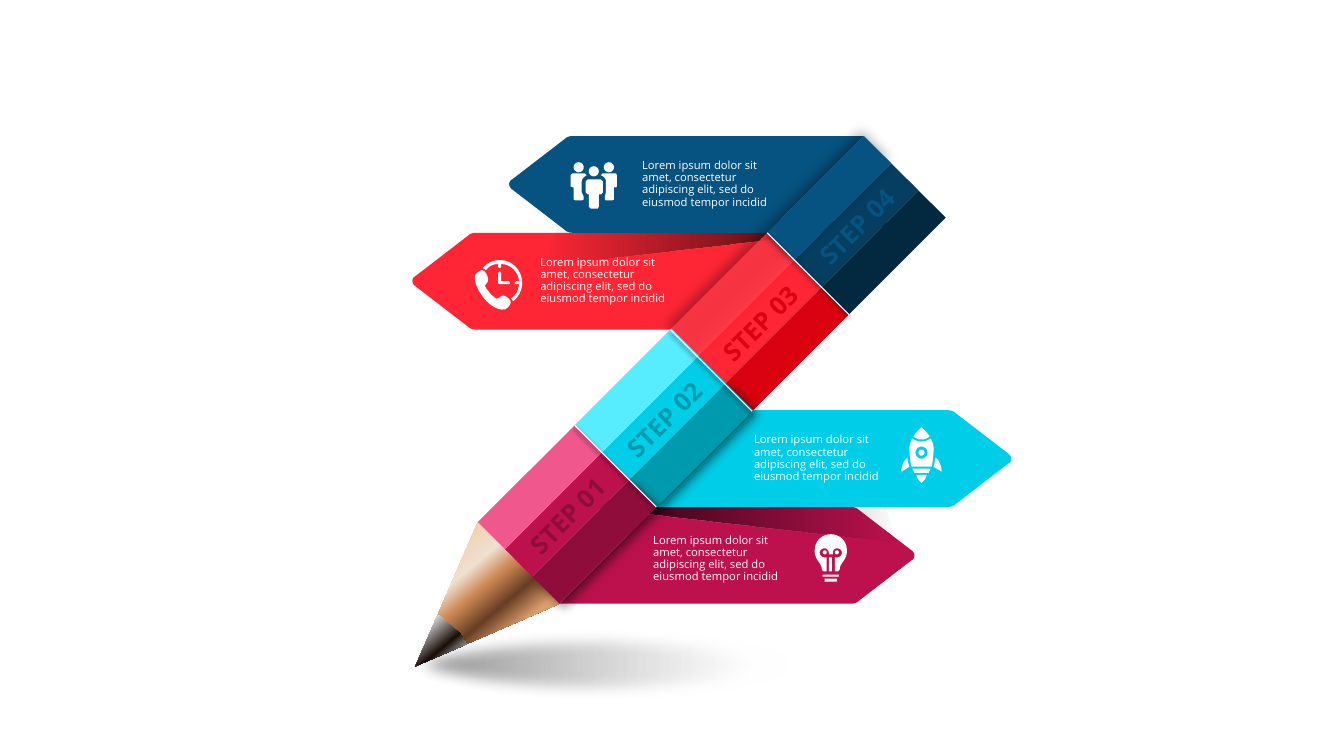
from dataclasses import dataclass
from math import cos, sin, tau
from typing import NamedTuple, Optional

from lxml.etree import SubElement
from pptx import Presentation
from pptx.dml.color import RGBColor
from pptx.enum.shapes import MSO_CONNECTOR as CONNECTOR, MSO_SHAPE as SHAPE
from pptx.enum.text import MSO_AUTO_SIZE as AUTO_SIZE
from pptx.oxml.ns import qn
from pptx.util import Pt

PX = 9144  # one hundredth of an inch
BAND, RUN = 27, 96
WIDTH = 3 * BAND
FONT = "Open Sans"
BODY = "Lorem ipsum dolor sit amet, consectetur adipiscing elit, sed do eiusmod tempor incidid"

rgb = RGBColor.from_string
WHITE, BLACK, NEAR_BLACK = rgb("FFFFFF"), rgb("000000"), rgb("080808")
PINK, CRIMSON, WINE = rgb("F0588D"), rgb("BD114D"), rgb("8E0D3A")
AQUA, CYAN, TEAL = rgb("58ECFF"), rgb("00CEE8"), rgb("009AAE")
RED, DARK_RED = rgb("FE2635"), rgb("DA0110")
BLUE, NAVY, MIDNIGHT = rgb("065381"), rgb("053E61"), rgb("032940")


class Stop(NamedTuple):
    position: int
    color: RGBColor
    alpha: int = 100


class Shadow(NamedTuple):
    alpha: int
    blur: int
    distance: int
    angle: int


@dataclass(frozen=True)
class Step:
    label: str
    corner: tuple[int, int]
    bands: tuple[RGBColor, RGBColor, RGBColor]
    label_color: RGBColor
    upper: bool
    text_at: tuple[int, int]
    icon: tuple[str, ...]
    light_alpha: int = 100


WOOD = [Stop(0, rgb("EEBF85")), Stop(35, rgb("EFE0CF")), Stop(46, rgb("CD8954")),
        Stop(59, rgb("693E25")), Stop(72, rgb("DC9D6C")), Stop(100, rgb("EDD5B7"))]
LEAD = [Stop(16, rgb("EAEAEA")), Stop(59, rgb("190F09")), Stop(89, rgb("DDDDDD"))]
FADE = [Stop(0, BLACK), Stop(100, NEAR_BLACK, 0)]
GROUND = [Stop(0, BLACK, 47), Stop(87, WHITE, 34)]
UPPER_SHADOW, LOWER_SHADOW = Shadow(32, 9, 4, 235), Shadow(50, 8, 4, 40)
SEAM_SHADOW = Shadow(100, 4, 2, 90)

BANNER = ("M 0,0 L -289,0 C -292,0 -295,1 -297,3 L -349,43 C -353,45 -353,50 -349,53 "
          "L -297,93 C -295,95 -292,96 -289,96 L -96,96 Z")
WOOD_CONE = "M 412,661 L 474,518 555,599 Z"
LEAD_TIP = "M 456,628 L 450,623 444,618 C 441,615 438,612 434,610 L 412,661 463,639 C 461,635 458,632 456,628 Z"
UPPER_FOLD = "M 556,214 L 539,263 914,221 Z"
LOWER_FOLD = "M 875,497 L 891,538 522,497 Z"

ROCKET = (
    "M 906,433 C 909,428 914,424 914,424 C 914,424 919,428 922,433 C 917,437 911,437 906,433 Z",
    "M 905,465 L 923,465 921,469 907,469 Z",
    "M 909,471 L 919,471 C 919,475 914,479 914,479 C 914,479 909,475 909,471 Z",
    "M 926,445 C 926,450 925,460 924,463 L 904,463 C 903,460 902,450 902,445 "
    "C 902,442 903,438 905,435 C 910,439 918,439 923,435 C 925,438 926,442 926,445 Z",
    "O 914,449 6,6 O 914,449 3,3",
    "M 900,454 C 897,456 894,462 894,468 L 902,463 C 901,460 900,457 900,454 Z",
    "M 928,454 C 931,456 934,462 934,468 L 926,463 C 927,460 927,457 928,454 Z")
PEOPLE = (
    "O 589,170 5,5 O 604,166 5,5 O 574,166 5,5",
    "M 583,178 L 596,178 598,180 598,191 596,193 594,193 594,205 593,207 586,207 584,205 "
    "584,193 583,193 581,191 581,180 Z",
    "M 598,172 L 611,172 612,174 612,185 611,186 609,186 609,198 607,199 601,199 600,198 "
    "600,195 601,191 601,180 C 601,177 599,175 596,174 Z",
    "M 580,172 L 568,172 566,174 566,185 568,186 569,186 569,198 571,199 577,199 579,198 "
    "579,195 577,191 577,180 C 577,177 580,175 582,174 Z")
PHONE_CLOCK = (
    "M 471,274 C 471,272 475,269 478,268 C 481,268 485,275 484,278 C 484,281 481,282 481,284 "
    "C 486,292 489,294 492,296 C 494,297 495,295 497,294 C 500,292 504,295 506,298 "
    "C 507,300 507,303 501,307 C 491,309 481,297 481,297 C 471,285 471,277 471,274 Z",
    "M 505,279 L 497,279 497,271 496,269 494,271 494,281 496,282 505,282 506,281 Z",
    "M 496,258 C 489,258 483,261 479,266 L 482,268 C 485,264 489,262 494,262 L 494,265 496,266 497,265 497,262 "
    "C 507,262 514,270 515,279 L 512,279 510,281 512,282 515,282 C 514,288 512,293 507,296 "
    "L 509,299 C 514,295 518,288 518,281 C 518,268 508,258 496,258 Z")
BULB = (
    "M 822,553 L 825,553 825,567 822,567 Z",
    "M 824,530 C 815,530 808,537 808,546 C 808,550 809,553 811,556 C 814,560 815,562 815,564 "
    "C 815,565 816,567 818,567 L 820,567 820,553 818,553 C 815,553 813,551 813,548 "
    "C 813,546 815,544 818,544 C 820,544 822,546 822,548 L 822,550 826,550 826,548 "
    "C 826,546 828,544 830,544 C 833,544 835,546 835,548 C 835,551 833,553 830,553 "
    "L 828,553 828,567 830,567 C 832,567 833,565 833,564 C 833,562 834,560 837,556 "
    "C 839,553 840,550 840,546 C 840,537 833,530 824,530 Z",
    "O 818,548 2,2 O 830,548 2,2",
    "M 816,570 L 832,570 832,572 816,572 Z M 818,574 L 830,574 830,577 818,577 Z")

STEPS = [
    Step("STEP 01", (474, 518), (PINK, CRIMSON, WINE), WINE, False, (638, 526), BULB),
    Step("STEP 02", (570, 422), (AQUA, CYAN, TEAL), TEAL, False, (738, 426), ROCKET),
    Step("STEP 03", (665, 327), (RED, RED, DARK_RED), DARK_RED, True, (526, 250), PHONE_CLOCK, 90),
    Step("STEP 04", (761, 231), (BLUE, NAVY, MIDNIGHT), BLUE, True, (627, 154), PEOPLE)]


def contours(path: str) -> list[list[tuple[float, float]]]:
    """Turn path text (M, L, C, Z, and O for an oval) into point lists, with curves sampled."""
    result, pending, command = [], [], ""
    for token in path.split():
        if token.isalpha():
            command = token
            if command in "MO":
                result.append([])
            continue
        pending.append(tuple(int(number) for number in token.split(",")))
        if len(pending) < {"C": 3, "O": 2}.get(command, 1):
            continue
        if command == "C":
            knots = [result[-1][-1], *pending]
            for t in (index / 8 for index in range(1, 9)):
                weights = ((1 - t) ** 3, 3 * t * (1 - t) ** 2, 3 * t * t * (1 - t), t ** 3)
                result[-1].append(tuple(sum(w * k[axis] for w, k in zip(weights, knots)) for axis in (0, 1)))
        elif command == "O":
            (x, y), (rx, ry) = pending
            result[-1] = [(x + rx * cos(tau * i / 24), y + ry * sin(tau * i / 24)) for i in range(24)]
        else:
            result[-1].append(pending[0])
        pending = []
    return result


def set_alpha(color_node, alpha: int) -> None:
    SubElement(color_node, qn("a:alpha"), val=str(alpha * 1000))


def set_shadow(shape, shadow: Optional[Shadow]):
    effects = SubElement(shape.element.spPr, qn("a:effectLst"))
    if shadow:
        node = SubElement(effects, qn("a:outerShdw"), blurRad=str(Pt(shadow.blur)),
                          dist=str(Pt(shadow.distance)), dir=str(shadow.angle * 60000))
        set_alpha(SubElement(node, qn("a:srgbClr"), val=str(BLACK)), shadow.alpha)
    return effects


def set_gradient(shape, stops: list[Stop], angle: int):
    shape.fill.gradient()
    stop_list = shape.element.spPr.find(".//" + qn("a:gsLst"))
    stop_list.clear()
    for stop in stops:
        node = SubElement(stop_list, qn("a:gs"), pos=str(stop.position * 1000))
        set_alpha(SubElement(node, qn("a:srgbClr"), val=str(stop.color)), stop.alpha)
    shape.element.spPr.find(".//" + qn("a:lin")).set("ang", str(angle * 60000))
    return shape


def add_outline(slide, path: str, color: RGBColor = WHITE, origin=(0, 0), sign: int = 1, shadow=None):
    outlines = [[((origin[0] + sign * x) * PX, (origin[1] + sign * y) * PX) for x, y in points]
                for points in contours(path)]
    builder = slide.shapes.build_freeform(*outlines[0][0], scale=1.0)
    for index, points in enumerate(outlines):
        if index:
            builder.move_to(*points[0])
        builder.add_line_segments(points[1:], close=True)
    shape = builder.convert_to_shape()
    shape.fill.solid()
    shape.fill.fore_color.rgb = color
    shape.line.fill.background()
    set_shadow(shape, shadow)
    return shape


def add_banner(slide, step: Step) -> None:
    left, top = step.corner
    if step.upper:
        add_outline(slide, BANNER, step.bands[0], (left + RUN, top - RUN))
    else:
        add_outline(slide, BANNER, step.bands[1], (left + WIDTH, top + WIDTH), -1)


def add_pencil_block(slide, step: Step) -> None:
    shapes = []
    shadows = {0: UPPER_SHADOW} if step.upper else {2: LOWER_SHADOW}
    for band in (1, 2, 0) if step.upper else (2, 1, 0):
        path = f"M 0,0 L {RUN},{-RUN} {RUN + BAND},{BAND - RUN} {BAND},{BAND} Z"
        origin = tuple(value + band * BAND for value in step.corner)
        shapes.append(add_outline(slide, path, step.bands[band], origin, shadow=shadows.get(band)))
    set_alpha(shapes[-1].element.spPr.find(qn("a:solidFill"))[0], step.light_alpha)
    slide.shapes.add_group_shape(shapes)


def add_seam(slide, step: Step) -> None:
    left, top = step.corner
    ends = [value * PX for value in (left, top, left + WIDTH, top + WIDTH)]
    seam = slide.shapes.add_connector(CONNECTOR.STRAIGHT, *ends)
    seam.line.color.rgb, seam.line.width = WHITE, Pt(0.75)
    set_shadow(seam, SEAM_SHADOW)


def add_text(slide, text: str, box_px: tuple[int, ...], size: int, color: RGBColor):
    box = slide.shapes.add_textbox(*(value * PX for value in box_px))
    box.text_frame.word_wrap = True
    paragraph = box.text_frame.paragraphs[0]
    paragraph.text, paragraph.line_spacing = text, 0.9
    paragraph.font.name, paragraph.font.size, paragraph.font.color.rgb = FONT, Pt(size), color
    return box, paragraph


def add_step_text(slide, step: Step) -> None:
    left, top = step.corner
    label, paragraph = add_text(slide, step.label, (left + 32, top - 27, 115, 40), 18, step.label_color)
    label.text_frame.word_wrap, label.text_frame.auto_size = False, AUTO_SIZE.SHAPE_TO_FIT_TEXT
    label.rotation, paragraph.font.bold, paragraph.line_spacing = 315, True, 1.0
    add_outline(slide, " ".join(step.icon))
    add_text(slide, BODY, (*step.text_at, 162, 66), 8, WHITE)


def main() -> None:
    presentation = Presentation()
    presentation.slide_width, presentation.slide_height = 1333 * PX, 750 * PX
    slide = presentation.slides.add_slide(presentation.slide_layouts[6])
    first, second, third, fourth = STEPS
    add_banner(slide, third)
    set_gradient(add_outline(slide, UPPER_FOLD), FADE, 180)
    add_banner(slide, fourth)
    for path, stops in ((WOOD_CONE, WOOD), (LEAD_TIP, LEAD)):
        set_gradient(add_outline(slide, path), stops, 50)
    add_banner(slide, first)
    set_gradient(add_outline(slide, LOWER_FOLD), FADE, 0)
    add_banner(slide, second)
    for step in (third, second, first, fourth):
        add_pencil_block(slide, step)
    for step in STEPS[1:]:
        add_seam(slide, step)
    ground = slide.shapes.add_shape(SHAPE.OVAL, 391 * PX, 624 * PX, 411 * PX, 71 * PX)
    set_gradient(ground, GROUND, 0).line.fill.background()
    SubElement(set_shadow(ground, None), qn("a:softEdge"), rad=str(Pt(10)))
    for step in STEPS:
        add_step_text(slide, step)
    presentation.save("out.pptx")


if __name__ == "__main__":
    main()
